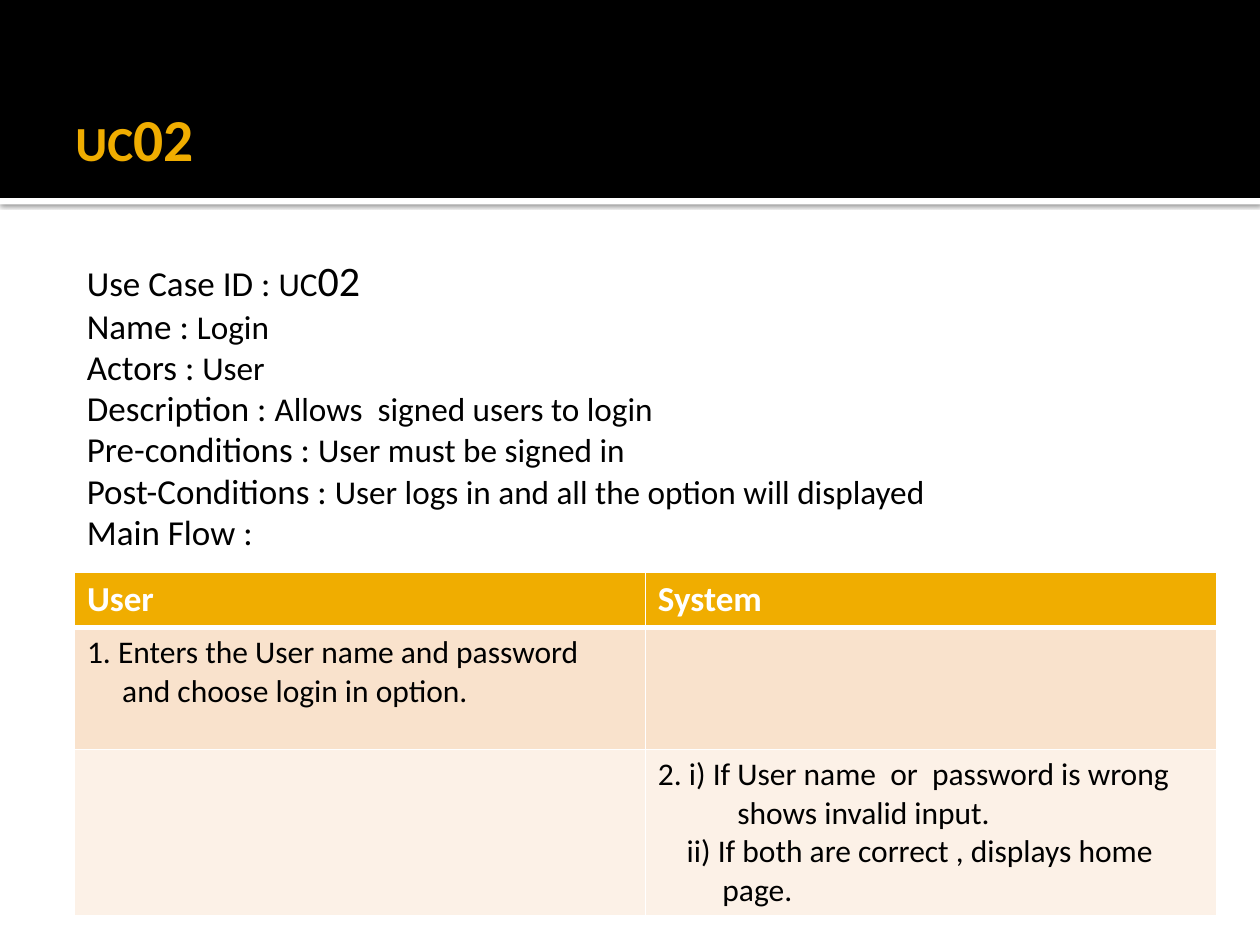
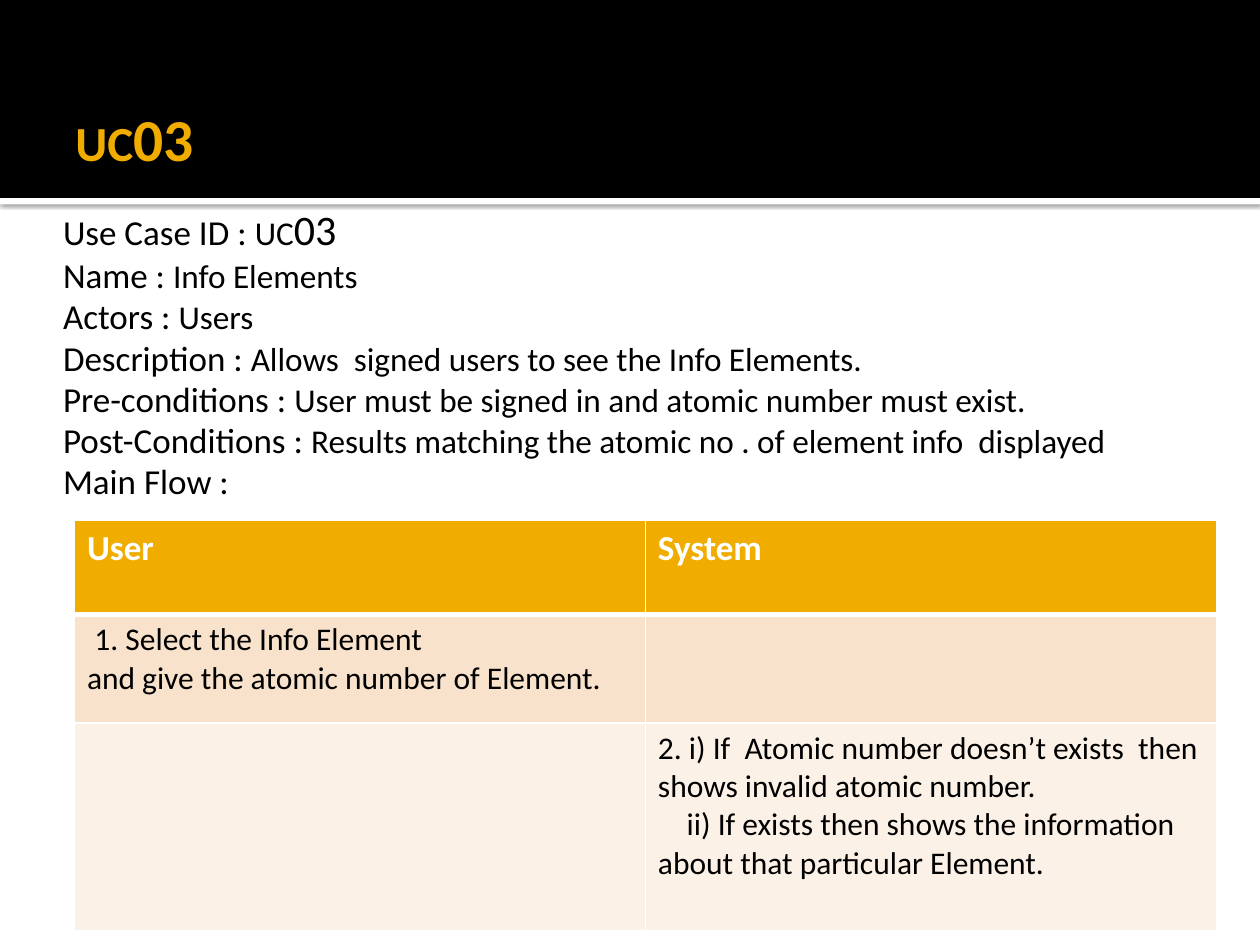
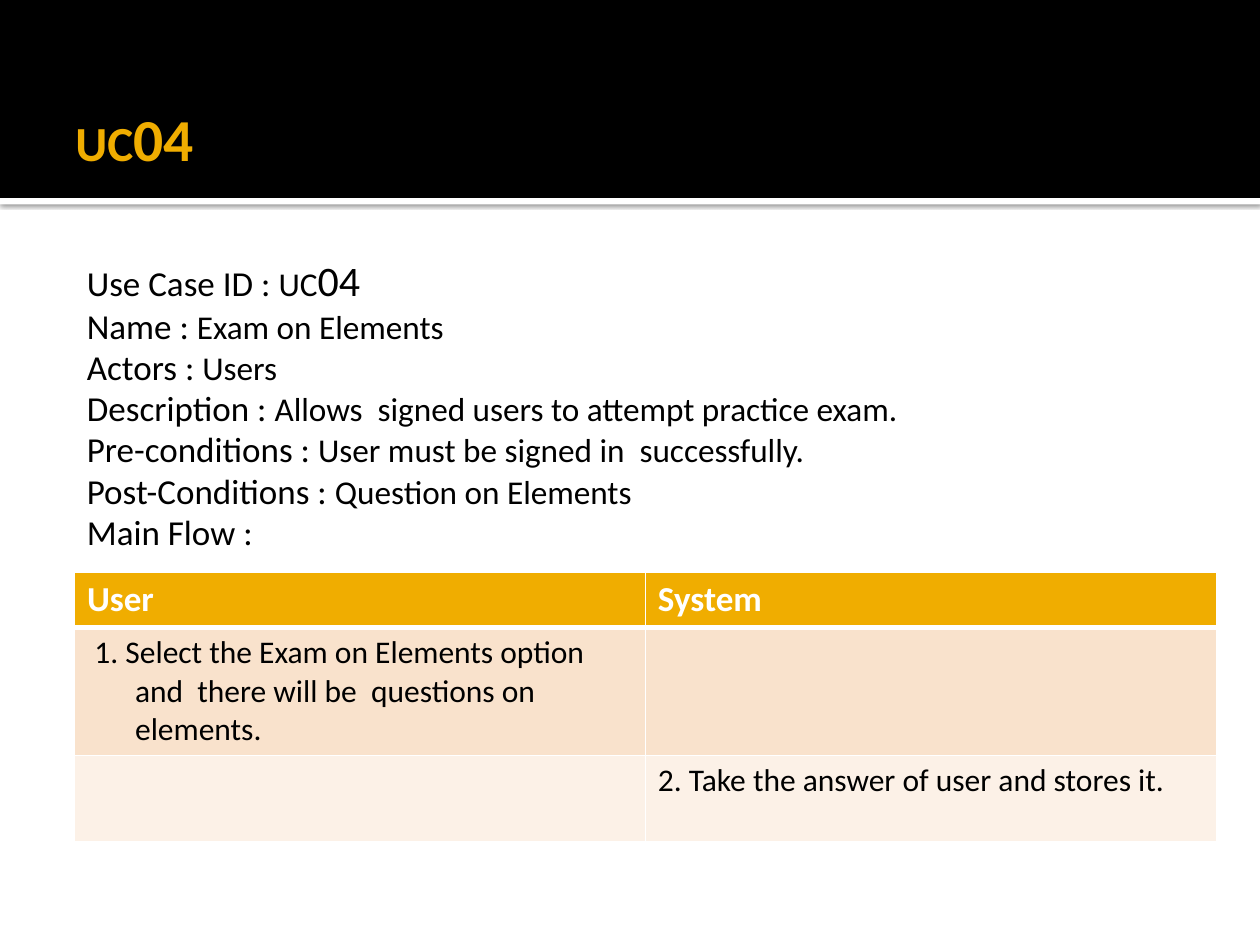
from dataclasses import dataclass
from lxml import etree
from pptx import Presentation
from pptx.dml.color import RGBColor
from pptx.enum.shapes import MSO_SHAPE
from pptx.enum.text import MSO_ANCHOR, MSO_AUTO_SIZE, PP_ALIGN
from pptx.oxml import parse_xml
from pptx.util import Cm, Pt

RECT = MSO_SHAPE.RECTANGLE
BOTTOM, TOP = MSO_ANCHOR.BOTTOM, MSO_ANCHOR.TOP
FIXED = MSO_AUTO_SIZE.NONE
LEFT = PP_ALIGN.LEFT
NS = "http://schemas.openxmlformats.org/drawingml/2006/main"


@dataclass(frozen=True)
class Theme:
    font: str = "Calibri"
    gold: str = "F0AD00"
    black: str = "000000"
    white: str = "FFFFFF"
    sand: str = "F9E2CC"
    cream: str = "FCF1E7"
    title: int = 28
    number: int = 34
    label: int = 20
    value: int = 19
    code: int = 24
    cell: int = 18
    thin: float = 0.96
    thick: float = 3


theme = Theme()


def style(par, color, size=None, bold=False):
    """Set the font that all runs of a paragraph share."""
    font = par.font
    font.name, font.bold = theme.font, bold
    font.color.rgb = RGBColor.from_string(color)
    if size:
        font.size = Pt(size)


def indent(par, margin, first):
    """Set the left margin and the first line's offset from it, in cm."""
    props = par._p.get_or_add_pPr()
    props.set("marL", str(Cm(margin)))
    props.set("indent", str(Cm(first)))
    return props


# Cell paragraphs: text, left margin, first line offset
cases = [
    dict(
        code="02", left=1.27, top=4.93, grid=11.53, rows=(1.12, 2.46, 3.35),
        facts=("Login", "User", "Allows  signed users to login",
               "User must be signed in",
               "User logs in and all the option will displayed"),
        user=[("1. Enters the User name and password\vand choose login in option.", 0.71, -0.71)],
        system=[("2. i) If User name  or  password is wrong\vshows invalid input.", 1.6, -1.6),
                ("ii) If both are correct , displays home\vpage.", 1.3, -0.72)],
    ),
    dict(
        code="03", left=0.79, top=3.91, grid=10.49, rows=(1.9, 2.18, 4.19),
        facts=("Info Elements", "Users",
               "Allows  signed users to see the Info Elements.",
               "User must be signed in and atomic number must exist.",
               "Results matching the atomic no . of element info  displayed"),
        user=[("1. Select the Info Element", 0.15, 0),
              ("and give the atomic number of Element.", 0, 0)],
        system=[("2. i) If  Atomic number doesn’t exists  then shows invalid atomic number.", 0, 0),
                ("ii) If exists then shows the information about that particular Element.", 0, 0.58)],
    ),
    dict(
        code="04", left=1.27, top=4.93, grid=11.53, rows=(1.12, 2.56, 1.73),
        facts=("Exam on Elements", "Users",
               "Allows  signed users to attempt practice exam.",
               "User must be signed in  successfully.",
               "Question on Elements"),
        user=[("1. Select the Exam on Elements option\vand  there will be  questions on elements.", 0.97, -0.82)],
        system=[("2. Take the answer of user and stores it.", 0, 0)],
    ),
]
labels = ("Name", "Actors", "Description", "Pre-conditions", "Post-Conditions")

deck = Presentation()
deck.slide_width, deck.slide_height = Cm(25.4), Cm(19.05)
layout = deck.slide_layouts[1]
slides = [deck.slides.add_slide(layout) for case in cases]

# Shared placeholders: place, anchor and insets (left, top, right, bottom)
frames = (
    (0, (1.27, 0.43, 22.86, 3.48), BOTTOM, (0.25, 0.13, 0.13, 0.41)),
    (1, (1.27, 4.93, 22.86, 12.85), TOP, (0.15, 0.25, 0.25, 0.13)),
)
for spot, place, anchor, inset in frames:
    holder = layout.placeholders[spot]
    holder.left, holder.top, holder.width, holder.height = map(Cm, place)
    frame = holder.text_frame
    frame.auto_size, frame.vertical_anchor = FIXED, anchor
    (frame.margin_left, frame.margin_top,
     frame.margin_right, frame.margin_bottom) = map(Cm, inset)

# Shared bands, moved to the back of the layout
bands = ((3.99, 0.13, theme.white), (0, 3.99, theme.black))
for order, (top, height, color) in enumerate(bands):
    band = slides[0].shapes.add_shape(RECT, 0, Cm(top), deck.slide_width, Cm(height))
    band.shadow.inherit = False
    band.fill.solid()
    band.fill.fore_color.rgb = RGBColor.from_string(color)
    band.line.fill.background()
    if color == theme.white:
        effects = band.element.spPr.find(f"{{{NS}}}effectLst")
        effects.append(parse_xml(
            f'<a:outerShdw xmlns:a="{NS}" blurRad="{Pt(2.5)}" dist="{Pt(0.8)}" '
            f'dir="5400000" algn="tl" rotWithShape="0"><a:srgbClr val="{theme.black}">'
            '<a:alpha val="60000"/></a:srgbClr></a:outerShdw>'))
    band.element.nvSpPr.cNvPr.set("id", str(20 + order))
    layout.shapes.element.insert(2 + order, band.element)

for slide, case in zip(slides, cases):
    # Title
    par = slide.shapes.title.text_frame.paragraphs[0]
    par.alignment = LEFT
    style(par, theme.gold, bold=True)
    for text, size in (("UC", theme.title), (case["code"], theme.number)):
        run = par.add_run()
        run.text, run.font.size = text, Pt(size)

    # Use case facts
    body = slide.placeholders[1]
    body.left, body.top = Cm(case["left"]), Cm(case["top"])
    body.width, body.height = Cm(22.86), Cm(12.85)
    lines = [[("Use Case ID : ", theme.label), ("UC", theme.value), (case["code"], theme.code)]]
    lines += [[(f"{label} : ", theme.label), (fact, theme.value)]
              for label, fact in zip(labels, case["facts"])]
    lines.append([("Main Flow :", theme.label)])
    frame = body.text_frame
    for row, line in enumerate(lines):
        par = frame.add_paragraph() if row else frame.paragraphs[0]
        par.space_before, par.line_spacing = Pt(0), 0.98
        etree.SubElement(indent(par, 1.22, -0.89), f"{{{NS}}}buNone")
        style(par, theme.black)
        for text, size in line:
            run = par.add_run()
            run.text, run.font.size = text, Pt(size)

    # Main flow table
    table = slide.shapes.add_table(3, 2, Cm(1.5), Cm(case["grid"]), Cm(23.02),
                                   Cm(sum(case["rows"]))).table
    cells = (
        ([("User", 0, 0)], [("System", 0, 0)]),
        (case["user"], []),
        ([], case["system"]),
    )
    fills = (theme.gold, theme.sand, theme.cream)
    for row, height in enumerate(case["rows"]):
        table.rows[row].height = Cm(height)
        head = row == 0
        for col, texts in enumerate(cells[row]):
            cell = table.cell(row, col)
            props = cell._tc.get_or_add_tcPr()
            for side in "LRTB":
                heavy = (row, side) in ((0, "B"), (1, "T"))
                width = Pt(theme.thick if heavy else theme.thin)
                props.append(parse_xml(
                    f'<a:ln{side} xmlns:a="{NS}" w="{width}"><a:solidFill>'
                    f'<a:srgbClr val="{theme.white}"/></a:solidFill></a:ln{side}>'))
            cell.fill.solid()
            cell.fill.fore_color.rgb = RGBColor.from_string(fills[row])
            for count, (text, margin, first) in enumerate(texts):
                frame = cell.text_frame
                par = frame.add_paragraph() if count else frame.paragraphs[0]
                par.text = text
                indent(par, margin, first)
                style(par, theme.white if head else theme.black,
                      theme.label if head else theme.cell, head)

deck.save("out.pptx")
